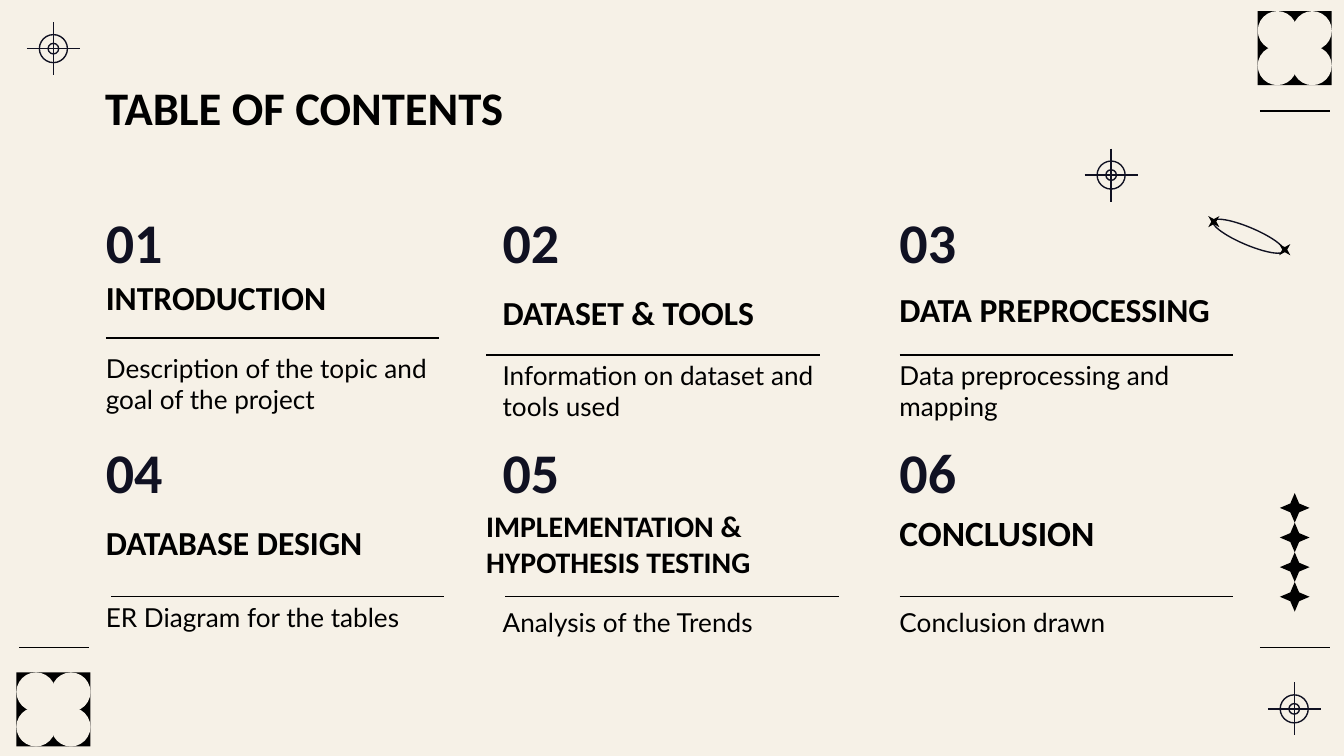
from dataclasses import dataclass

from lxml import etree
from pptx import Presentation
from pptx.dml.color import RGBColor
from pptx.enum.shapes import MSO_CONNECTOR, MSO_SHAPE as SHAPE
from pptx.enum.text import MSO_ANCHOR as ANCHOR
from pptx.oxml.ns import qn
from pptx.util import Cm, Pt


@dataclass(frozen=True)
class Theme:
    paper: str = "F6F1E7"
    black: str = "000000"
    navy: str = "101122"
    head_font: str = "Calibri"
    body_font: str = "Lato"
    title: int = 25
    number: int = 30
    heading: int = 18
    body: int = 14
    line: float = 0.75


T = Theme()


class Deck:
    """Draws on the current slide; all lengths are in centimetres."""

    def __init__(self, prs):
        self.s = prs.slides.add_slide(prs.slide_layouts[6])
        fill = self.s.background.fill
        fill.solid()
        fill.fore_color.rgb = RGBColor.from_string(T.paper)

    def text(self, text, x, y, w, h, *, size=T.heading, font=T.head_font,
             color=T.black, bold=True, anchor=ANCHOR.MIDDLE):
        tf = self.s.shapes.add_textbox(Cm(x), Cm(y), Cm(w), Cm(h)).text_frame
        tf.word_wrap = True
        tf.vertical_anchor = anchor
        tf.margin_left = tf.margin_right = tf.margin_top = tf.margin_bottom = 0
        r = tf.paragraphs[0].add_run()
        r.text = text
        r.font.name, r.font.size, r.font.bold = font, Pt(size), bold
        r.font.color.rgb = RGBColor.from_string(color)

    def shape(self, kind, x, y, w, h, *, fill=None, line=None, rot=0, adj=None):
        sp = self.s.shapes.add_shape(kind, Cm(x), Cm(y), Cm(w), Cm(h))
        sp.shadow.inherit = False
        sp.rotation = rot
        if adj is not None:
            sp.adjustments[0] = adj
        if fill:
            sp.fill.solid()
            sp.fill.fore_color.rgb = RGBColor.from_string(fill)
        else:
            sp.fill.background()
        if line:
            sp.line.color.rgb = RGBColor.from_string(line)
            sp.line.width = Pt(T.line)
        else:
            sp.line.fill.background()

    def line(self, x1, y1, x2, y2, color=T.black):
        c = self.s.shapes.add_connector(
            MSO_CONNECTOR.STRAIGHT, Cm(x1), Cm(y1), Cm(x2), Cm(y2))
        c.line.color.rgb = RGBColor.from_string(color)
        c.line.width = Pt(T.line)
        etree.SubElement(c._element.spPr, qn("a:effectLst"))

    def rule(self, x, y, length):
        self.line(x, y, x + length, y)

    def crosshair(self, cx, cy, arm=0.5):
        for d in (0.53, 0.2):
            self.shape(SHAPE.OVAL, cx - d / 2, cy - d / 2, d, d, line=T.navy)
        self.line(cx, cy - arm, cx, cy + arm, T.navy)
        self.line(cx - arm, cy, cx + arm, cy, T.navy)

    def clover(self, x, y, side=1.4, petal=0.74):
        self.shape(SHAPE.RECTANGLE, x, y, side, side, fill=T.black)
        far = side - petal
        petals = ((0, 0, 90), (far, 0, 180), (far, far, 270), (0, far, 0))
        for dx, dy, rot in petals:
            self.shape(SHAPE.TEAR, x + dx, y + dy, petal, petal,
                       fill=T.paper, rot=rot, adj=1)

    def star(self, x, y, size, *, rot, adj):
        self.shape(SHAPE.STAR_4_POINT, x, y, size, size,
                   fill=T.black, rot=rot, adj=adj)


def main():
    prs = Presentation()
    prs.slide_width, prs.slide_height = Cm(25.4), Cm(14.29)
    d = Deck(prs)

    # Corner ornaments
    for cx, cy in ((24.46, 13.4), (1.01, 0.92), (21, 3.31)):
        d.crosshair(cx, cy)
    for x, y in ((0.31, 12.71), (23.77, 0.21)):
        d.clover(x, y)
    for x, y in ((0.36, 12.24), (23.81, 12.24), (23.81, 2.1)):
        d.rule(x, y, 1.32)

    # Column of stars
    star = 0.56
    for i in range(4):
        d.star(24.19, 9.32 + i * star, star, rot=270, adj=0.21)

    # Orbit with a star at each end
    d.shape(SHAPE.OVAL, 23.43, 3.74, 0.33, 1.45, line=T.navy, rot=293)
    for x, y in ((22.79, 4.04), (24.13, 4.57)):
        d.star(x, y, 0.3, rot=45, adj=0.16)

    # Title
    d.text("TABLE OF CONTENTS", 1.99, 1.5, 21.44, 1.14,
           size=T.title, anchor=ANCHOR.TOP)

    # Sections: heading, its (x, y, w, h) and size, body, its y and h, rule x, y
    left, pitch = 2, 7.5
    col1, col2, col3 = (left + i * pitch for i in range(3))
    row_tops = (3.94, 8.28)
    sections = (
        ("INTRODUCTION", (col1, 4.88, 7.54, 1.47), T.heading,
         "Description of the topic and goal of the project", 6.58, 1.35,
         2, 6.39),
        ("DATASET & TOOLS", (col2, 5.23, 6.4, 1.35), T.heading,
         "Information on dataset and tools used", 6.81, 1.14, 9.19, 6.71),
        ("DATA PREPROCESSING", (col3, 5.11, 8.4, 1.47), T.heading,
         "Data preprocessing and mapping", 6.81, 1.14, 17, 6.71),
        ("DATABASE DESIGN", (col1, 9.53, 6.4, 1.45), T.heading,
         "ER Diagram for the tables", 10.98, 1.35, 2.1, 11.28),
        ("IMPLEMENTATION & HYPOTHESIS TESTING", (9.19, 9.03, 7.67, 2.49), 16,
         "Analysis of the Trends", 11.09, 1.35, 9.55, 11.28),
        ("CONCLUSION", (col3, 9.33, 6.4, 1.45), 19,
         "Conclusion drawn", 11.09, 1.35, 17, 11.28),
    )
    for i, (head, box, size, body, y, h, rule_x, rule_y) in enumerate(sections):
        row, col = divmod(i, 3)
        x = left + col * pitch
        d.text(f"{i + 1:02d}", x, row_tops[row], 2.03, 1.24,
               size=T.number, color=T.navy)
        d.text(head, *box, size=size)
        d.text(body, x, y, 6.4, h, size=T.body, font=T.body_font, bold=False)
        d.rule(rule_x, rule_y, 6.3)

    prs.save("out.pptx")


if __name__ == "__main__":
    main()
